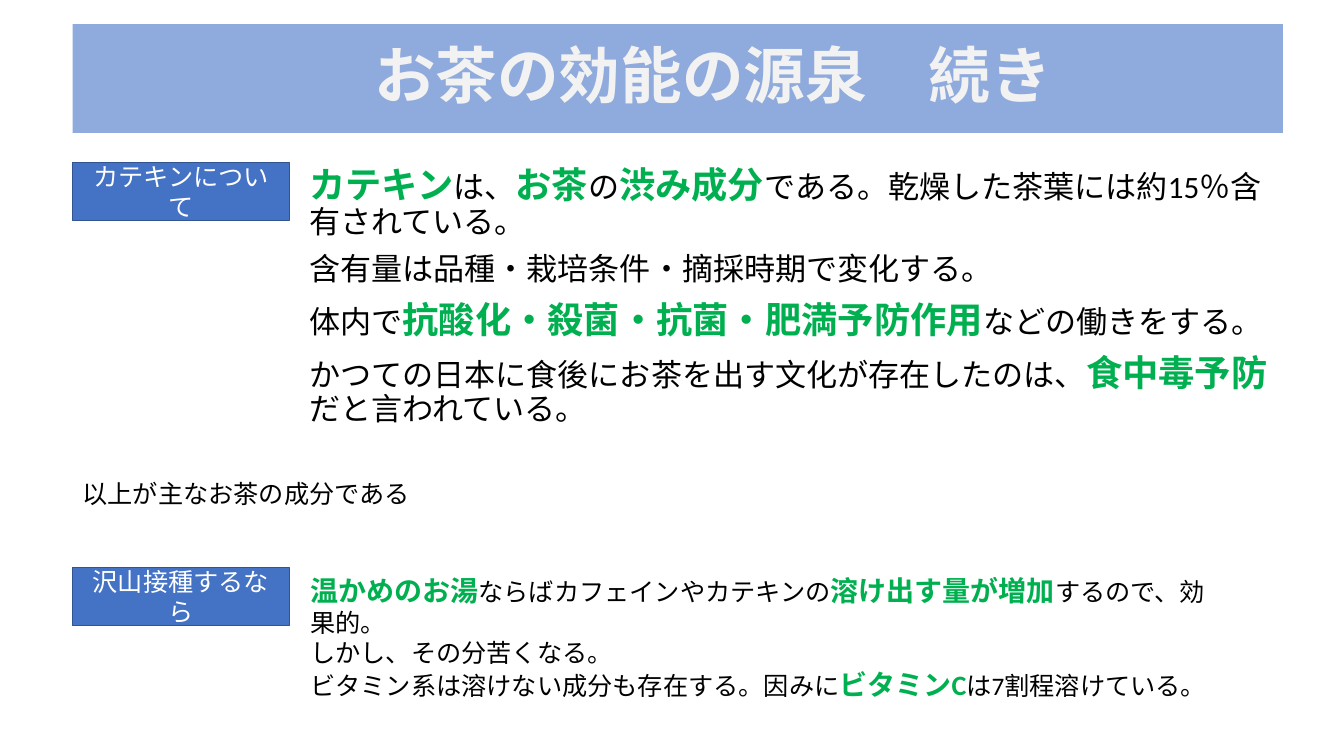
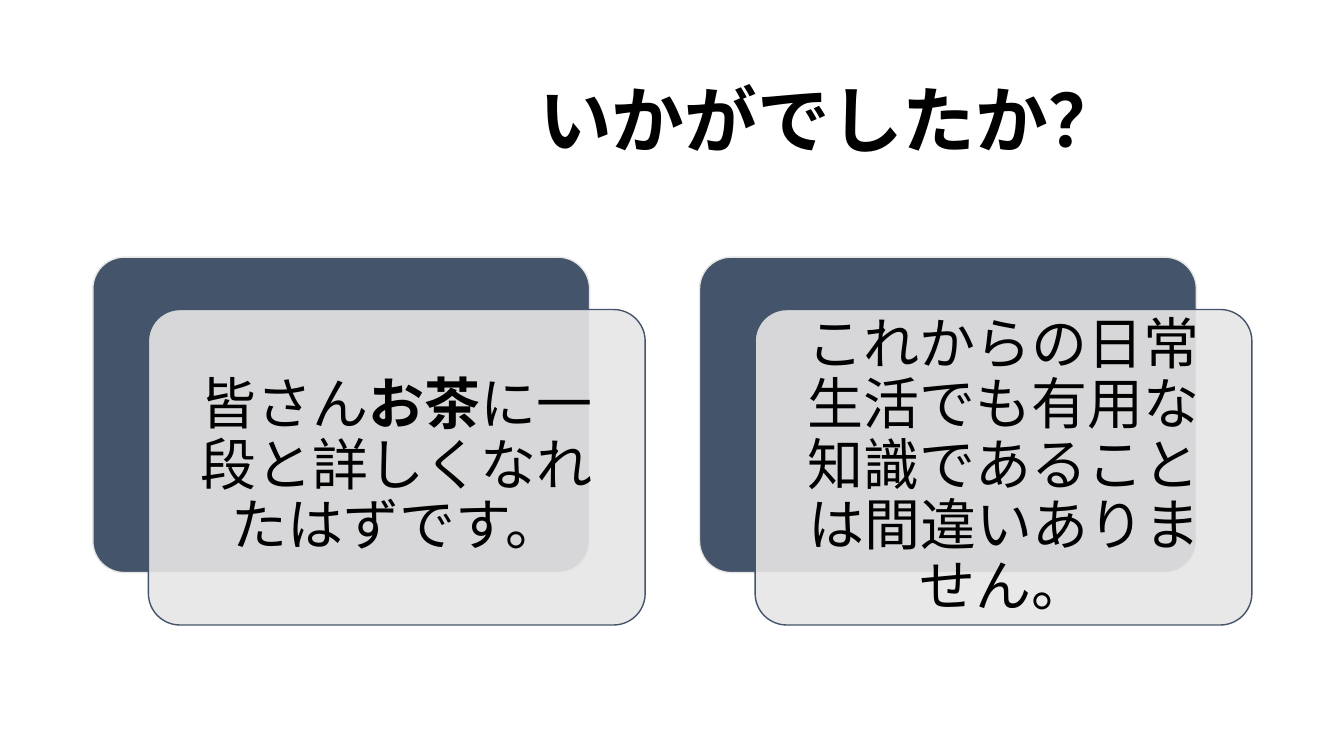
from lxml.etree import SubElement
from pptx import Presentation
from pptx.dml.color import RGBColor
from pptx.enum.shapes import MSO_SHAPE as Shape
from pptx.enum.text import MSO_ANCHOR as Anchor, MSO_AUTO_SIZE as Fit, PP_ALIGN as Align
from pptx.oxml.ns import qn
from pptx.util import Cm, Pt

FONT = "Calibri"
BLACK = RGBColor(0x00, 0x00, 0x00)
WHITE = RGBColor(0xFF, 0xFF, 0xFF)
PALE = RGBColor(0xF2, 0xF2, 0xF2)
GREEN = RGBColor(0x00, 0xB0, 0x50)
BAND = RGBColor(0x8F, 0xAA, 0xDC)
BLUE = RGBColor(0x44, 0x72, 0xC4)
EDGE = RGBColor(0x32, 0x54, 0x91)
SLATE = RGBColor(0x44, 0x54, 0x6A)
GREY = RGBColor(0xE7, 0xE6, 0xE6)

# Text between asterisks is emphasised.
SOURCE = "お茶の効能の源泉　続き"
CATECHIN = [
    "*カテキン*は、*お茶*の*渋み成分*である。乾燥した茶葉には約15％含有されている。",
    "含有量は品種・栽培条件・摘採時期で変化する。",
    "体内で*抗酸化・殺菌・抗菌・肥満予防作用*などの働きをする。",
    "かつての日本に食後にお茶を出す文化が存在したのは、*食中毒予防*だと言われている。",
]
LABELS = [("カテキンについて", 4.09), ("沢山接種するなら", 14.3)]
NOTE = ["以上が主なお茶の成分である"]
INTAKE = [
    "*温かめのお湯*ならばカフェインやカテキンの*溶け出す量が増加*するので、効果的。",
    "しかし、その分苦くなる。",
    "ビタミン系は溶けない成分も存在する。因みに*ビタミンC*は7割程溶けている。",
]
CLOSING = "いかがでしたか？"
CARDS = [
    "皆さん*お茶*に一段と詳しくなれたはずです。",
    "これからの日常生活でも有用な知識であることは間違いありません。",
]

LEFT = 1.83
CARD_X, CARD_Y, CARD_W, CARD_H = 2.34, 6.48, 12.52, 7.95
CARD_STEP = 15.29
SHIFT_X, SHIFT_Y = 1.4, 1.32


def place(shape, left, top, width, height):
    shape.left, shape.top = Cm(left), Cm(top)
    shape.width, shape.height = Cm(width), Cm(height)


def write(frame, lines, size, color=BLACK, align=Align.LEFT, bold=False,
          gap=0, spacing=1, accent=None, big=None):
    """Fill a frame; starred parts turn bold, in the accent colour and big size."""
    frame.word_wrap = True
    frame.auto_size = Fit.NONE
    for i, line in enumerate(lines):
        para = frame.paragraphs[0] if i == 0 else frame.add_paragraph()
        props = para._p.get_or_add_pPr()
        props.set("marL", "0")
        props.set("indent", "0")
        para.alignment = align
        para.line_spacing = spacing
        para.space_before = Pt(gap if i else 0)
        SubElement(props, qn("a:buNone"))
        font = para.font
        font.name, font.size, font.bold = FONT, Pt(size), bold
        font.color.rgb = color
        for j, part in enumerate(line.split("*")):
            if not part:
                continue
            run = para.add_run()
            run.text = part
            if j % 2:
                run.font.bold = True
                run.font.size = Pt(big or size)
                run.font.color.rgb = accent or color


def add_title(slide, text, box, indent, size, color):
    title = slide.shapes.title
    place(title, *box)
    frame = title.text_frame
    frame.vertical_anchor = Anchor.MIDDLE
    write(frame, [text], size, color, bold=True, spacing=0.9)
    frame.margin_left = Cm(indent)
    return title


def add_text(slide, box, lines, size, **style):
    frame = slide.shapes.add_textbox(*map(Cm, box)).text_frame
    write(frame, lines, size, **style)


def add_box(slide, kind, box, fill, line):
    shape = slide.shapes.add_shape(kind, *map(Cm, box))
    shape.shadow.inherit = False
    shape.fill.solid()
    shape.fill.fore_color.rgb = fill
    shape.line.color.rgb = line
    shape.line.width = Pt(1)
    shape.text_frame.vertical_anchor = Anchor.MIDDLE
    return shape


def add_card(slide, left, text):
    back = (left, CARD_Y, CARD_W, CARD_H)
    front = (left + SHIFT_X, CARD_Y + SHIFT_Y, CARD_W, CARD_H)
    panels = [add_box(slide, Shape.ROUNDED_RECTANGLE, back, SLATE, GREY),
              add_box(slide, Shape.ROUNDED_RECTANGLE, front, GREY, SLATE)]
    for panel in panels:
        panel.adjustments[0] = 0.1
    tint = panels[1].fill._xPr.find(qn("a:solidFill"))[0]
    SubElement(tint, qn("a:alpha"), val="90000")
    frame = panels[1].text_frame
    frame.margin_left = frame.margin_right = Cm(0.43)
    frame.margin_top = frame.margin_bottom = Cm(0.43)
    write(frame, [text], 40, align=Align.CENTER, spacing=0.9)


def build_source(deck):
    slide = deck.slides.add_slide(deck.slide_layouts[1])
    band = add_title(slide, SOURCE, (LEFT, 0.61, 30.5, 2.74), 7.6, 44, PALE)
    band.fill.solid()
    band.fill.fore_color.rgb = BAND
    body = slide.placeholders[1]
    place(body, 7.54, 4.09, 24.77, 7.24)
    write(body.text_frame, CATECHIN, 22.2, gap=10, spacing=0.9,
          accent=GREEN, big=25.9)
    for text, top in LABELS:
        label = add_box(slide, Shape.RECTANGLE, (LEFT, top, 5.46, 1.47), BLUE, EDGE)
        write(label.text_frame, [text], 18, WHITE, Align.CENTER)
    add_text(slide, (7.57, 14.33, 23.55, 3.51), INTAKE, 18, accent=GREEN, big=20)
    add_text(slide, (LEFT, 11.94, 29.18, 1.02), NOTE, 18)


def build_closing(deck):
    slide = deck.slides.add_slide(deck.slide_layouts[5])
    add_title(slide, CLOSING, (CARD_X, 1.55, 29.21, 3.15), 11.25, 52, BLACK)
    for i, text in enumerate(CARDS):
        add_card(slide, CARD_X + i * CARD_STEP, text)


def main():
    deck = Presentation()
    deck.slide_width, deck.slide_height = Cm(33.87), Cm(19.05)
    build_source(deck)
    build_closing(deck)
    deck.save("out.pptx")


if __name__ == "__main__":
    main()
